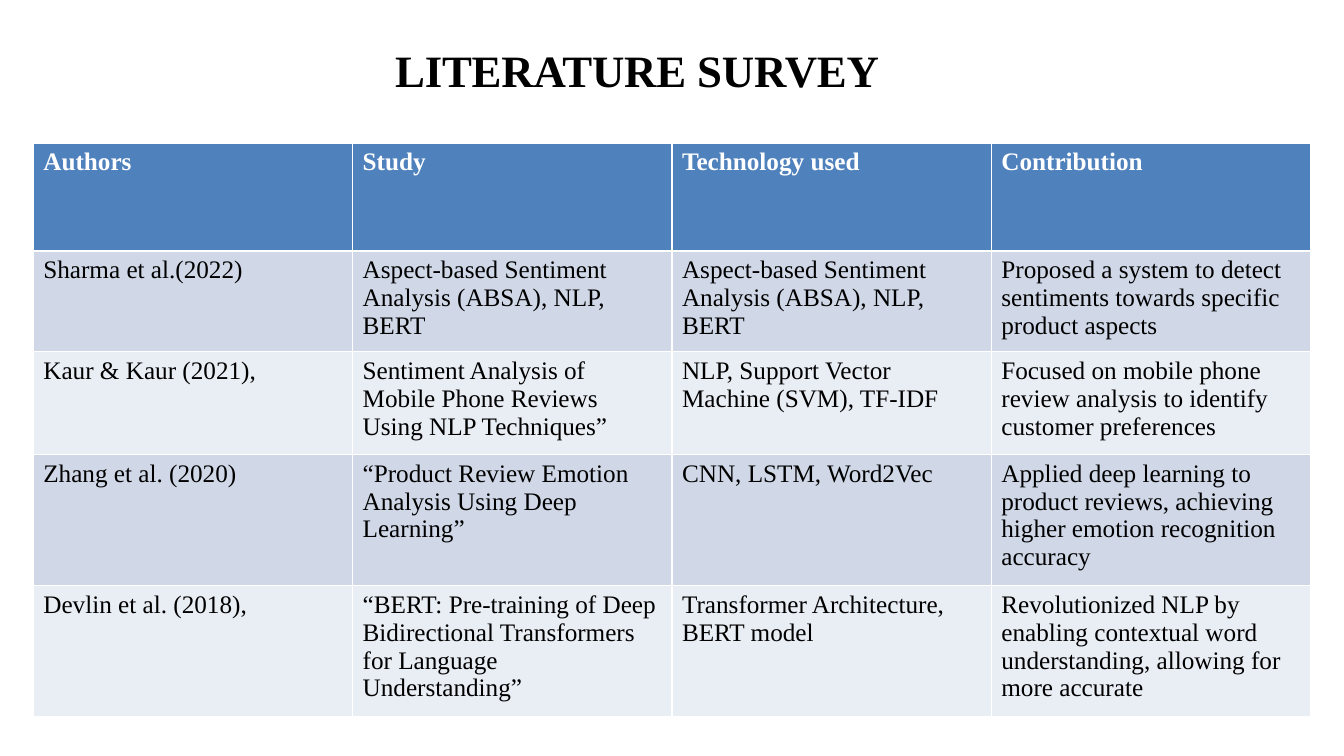
"""Build the literature survey slide."""
import dataclasses

import pptx
import pptx.dml.color
import pptx.enum.text
import pptx.presentation
import pptx.shapes.autoshape
import pptx.slide
import pptx.table
import pptx.util

Inches = pptx.util.Inches
Color = pptx.dml.color.RGBColor


@dataclasses.dataclass(frozen=True)
class Theme:
    font: str = "Times New Roman"
    title_size: int = 32
    table_size: int = 18
    black: str = "000000"
    white: str = "FFFFFF"
    header: str = "4F81BD"
    bands: tuple[str, str] = ("D0D8E8", "E9EDF4")


@dataclasses.dataclass(frozen=True)
class SurveyRow:
    authors: str
    study: str
    technology: str
    contribution: str
    height: float


THEME = Theme()
TITLE_SPANS = (("LITERATURE ", -20), ("SURVEY", -10))
COLUMN_WIDTH = 12.67 / 4
SURVEY = (
    SurveyRow("Authors", "Study", "Technology used", "Contribution", 1.07),
    SurveyRow(
        "Sharma et al.(2022)",
        "Aspect-based Sentiment Analysis (ABSA), NLP, BERT",
        "Aspect-based Sentiment Analysis (ABSA), NLP, BERT",
        "Proposed a system to detect sentiments towards specific product aspects",
        0.81,
    ),
    SurveyRow(
        "Kaur & Kaur (2021),",
        "Sentiment Analysis of Mobile Phone Reviews Using NLP Techniques”",
        "NLP, Support Vector Machine (SVM), TF-IDF",
        "Focused on mobile phone review analysis to identify customer preferences",
        1.02,
    ),
    SurveyRow(
        "Zhang et al. (2020)",
        "“Product Review Emotion Analysis Using Deep Learning”",
        "CNN, LSTM, Word2Vec",
        "Applied deep learning to product reviews, achieving higher emotion "
        "recognition accuracy",
        1.05,
    ),
    SurveyRow(
        "Devlin et al. (2018),",
        "“BERT: Pre-training of Deep Bidirectional Transformers for Language "
        "Understanding”",
        "Transformer Architecture, BERT model",
        "Revolutionized NLP by enabling contextual word understanding, allowing "
        "for more accurate",
        1.05,
    ),
)


def format_font(font: pptx.text.text.Font, size: int, color: str, bold: bool) -> None:
    font.name = THEME.font
    font.size = pptx.util.Pt(size)
    font.bold = bold
    font.color.rgb = Color.from_string(color)


def fill_title(title: pptx.shapes.autoshape.Shape) -> None:
    title.left, title.top = Inches(3.92), Inches(0.42)
    title.width, title.height = Inches(8.26), Inches(0.54)
    frame = title.text_frame
    frame.margin_left = frame.margin_right = frame.margin_top = frame.margin_bottom = 0
    frame.vertical_anchor = pptx.enum.text.MSO_ANCHOR.TOP
    frame.auto_size = pptx.enum.text.MSO_AUTO_SIZE.SHAPE_TO_FIT_TEXT
    para = frame.paragraphs[0]
    para.alignment = pptx.enum.text.PP_ALIGN.LEFT
    for text, spacing in TITLE_SPANS:
        span = para.add_run()
        span.text = text
        format_font(span.font, THEME.title_size, THEME.black, True)
        span._r.get_or_add_rPr().set("spc", str(spacing))


def fill_cell(cell: pptx.table._Cell, text: str, fill: str, color: str, bold: bool) -> None:
    cell.fill.solid()
    cell.fill.fore_color.rgb = Color.from_string(fill)
    cell.text_frame.text = text
    span = cell.text_frame.paragraphs[0].runs[0]
    format_font(span.font, THEME.table_size, color, bold)


def add_survey(page: pptx.slide.Slide) -> None:
    columns = 4
    height = sum(row.height for row in SURVEY)
    table = page.shapes.add_table(
        len(SURVEY), columns, Inches(0.33), Inches(1.42),
        Inches(COLUMN_WIDTH * columns), Inches(height),
    ).table
    for column in table.columns:
        column.width = Inches(COLUMN_WIDTH)
    for index, row in enumerate(SURVEY):
        table.rows[index].height = Inches(row.height)
        is_header = index == 0
        fill = THEME.header if is_header else THEME.bands[(index - 1) % 2]
        color = THEME.white if is_header else THEME.black
        texts = (row.authors, row.study, row.technology, row.contribution)
        for column_index, text in enumerate(texts):
            fill_cell(table.cell(index, column_index), text, fill, color, is_header)


def main() -> None:
    deck = pptx.Presentation()
    deck.slide_width, deck.slide_height = Inches(13.33), Inches(7.5)
    page = deck.slides.add_slide(deck.slide_layouts.get_by_name("Title Only"))
    fill_title(page.shapes.title)
    add_survey(page)
    deck.save("out.pptx")


if __name__ == "__main__":
    main()
